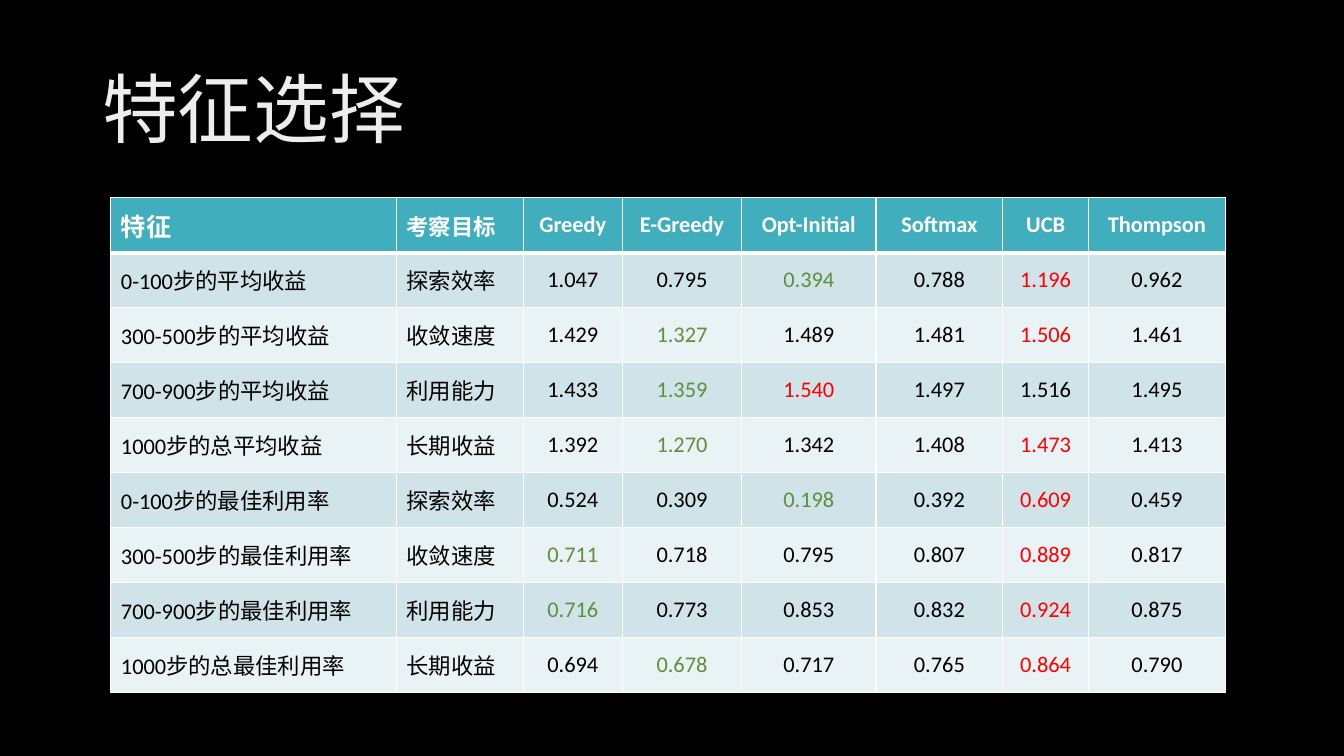
import pptx
import pptx.util
import pptx.dml.color
import pptx.enum.text
import pptx.oxml.ns
import lxml.etree

ALIGN = pptx.enum.text.PP_ALIGN
MIDDLE = pptx.enum.text.MSO_ANCHOR.MIDDLE


def color(code):
    return pptx.dml.color.RGBColor.from_string(code)


class Deck:
    """Style and current slide; lengths are in cells of a 160 by 90 grid."""
    font = "Calibri"
    ink, light = "000000", "FFFFFF"
    head, bands = "41AEBD", ("CFE3E8", "E9F2F4")
    low, high = "608F3D", "FF0000"

    def __init__(self):
        self.prs = pptx.Presentation()
        self.prs.slide_width = pptx.util.Inches(13.33)
        self.prs.slide_height = pptx.util.Inches(7.5)
        self.slide = self.prs.slides.add_slide(self.prs.slide_layouts[6])
        back = self.slide.background.fill
        back.solid()
        back.fore_color.rgb = color(self.ink)

    def cols(self, n):
        return int(self.prs.slide_width * n / 160)

    def rows(self, n):
        return int(self.prs.slide_height * n / 90)

    def place(self, x, y, w, h):
        return self.cols(x), self.rows(y), self.cols(w), self.rows(h)

    def label(self, par, text, size, shade, bold=False, align=ALIGN.LEFT):
        par.text = text
        par.alignment = align
        font = par.font
        font.name, font.size, font.bold = self.font, pptx.util.Pt(size), bold
        font.color.rgb = color(shade)

    def title(self, text, *area):
        frame = self.slide.shapes.add_textbox(*self.place(*area)).text_frame
        frame.word_wrap = True
        frame.vertical_anchor = MIDDLE
        par = frame.paragraphs[0]
        par.line_spacing = 0.9
        self.label(par, text, 54, "EDEDED")

    def edge(self, cell, **widths):
        props = cell._tc.get_or_add_tcPr()
        for i, side in enumerate("LRTB"):
            line = lxml.etree.Element(pptx.oxml.ns.qn("a:ln" + side))
            line.set("w", str(pptx.util.Pt(widths.get(side, 1))))
            fill = lxml.etree.SubElement(line, pptx.oxml.ns.qn("a:solidFill"))
            tint = lxml.etree.SubElement(fill, pptx.oxml.ns.qn("a:srgbClr"))
            tint.set("val", self.light)
            props.insert(i, line)

    def cell(self, cell, text, fill, **style):
        cell.fill.solid()
        cell.fill.fore_color.rgb = color(fill)
        cell.vertical_anchor = MIDDLE
        self.label(cell.text_frame.paragraphs[0], text, **style)

    def table(self, x, y, widths, step, names, data):
        area = self.place(x, y, sum(widths), step * (len(data) + 1))
        grid = self.slide.shapes.add_table(len(data) + 1, len(names), *area).table
        for col, width in zip(grid.columns, widths):
            col.width = self.cols(width)
        for row in grid.rows:
            row.height = self.rows(step)
        sides = [ALIGN.LEFT] * 2 + [ALIGN.CENTER] * (len(names) - 2)

        # Header row
        for c, name in enumerate(names):
            cell = grid.cell(0, c)
            self.cell(cell, name, self.head, size=16 if c else 18,
                      shade=self.light, bold=True, align=sides[c])
            self.edge(cell, B=3)

        # Body rows: lowest score green, highest red
        for r, (topic, goal, *scores) in enumerate(data, 1):
            marks = {min(scores): self.low, max(scores): self.high}
            texts = [topic, goal] + [f"{score:.3f}" for score in scores]
            shades = [self.ink] * 2 + [marks.get(s, self.ink) for s in scores]
            for c, text in enumerate(texts):
                cell = grid.cell(r, c)
                self.cell(cell, text, self.bands[(r - 1) % 2], size=16,
                          shade=shades[c], align=sides[c])
                self.edge(cell, T=3 if r == 1 else 1)


NAMES = ["特征", "考察目标", "Greedy", "E-Greedy", "Opt-Initial", "Softmax",
         "UCB", "Thompson"]
WIDTHS = [34, 15.1, 11.8, 14.2, 16, 15.1, 10.2, 16.3]
DATA = [
    ("0-100步的平均收益", "探索效率", 1.047, 0.795, 0.394, 0.788, 1.196, 0.962),
    ("300-500步的平均收益", "收敛速度", 1.429, 1.327, 1.489, 1.481, 1.506, 1.461),
    ("700-900步的平均收益", "利用能力", 1.433, 1.359, 1.540, 1.497, 1.516, 1.495),
    ("1000步的总平均收益", "长期收益", 1.392, 1.270, 1.342, 1.408, 1.473, 1.413),
    ("0-100步的最佳利用率", "探索效率", 0.524, 0.309, 0.198, 0.392, 0.609, 0.459),
    ("300-500步的最佳利用率", "收敛速度", 0.711, 0.718, 0.795, 0.807, 0.889, 0.817),
    ("700-900步的最佳利用率", "利用能力", 0.716, 0.773, 0.853, 0.832, 0.924, 0.875),
    ("1000步的总最佳利用率", "长期收益", 0.694, 0.678, 0.717, 0.765, 0.864, 0.790),
]


def main():
    deck = Deck()
    deck.title("特征选择", 11, 4.8, 138, 17.4)
    deck.table(13.2, 23.55, WIDTHS, 6.54, NAMES, DATA)
    deck.prs.save("out.pptx")


if __name__ == "__main__":
    main()
